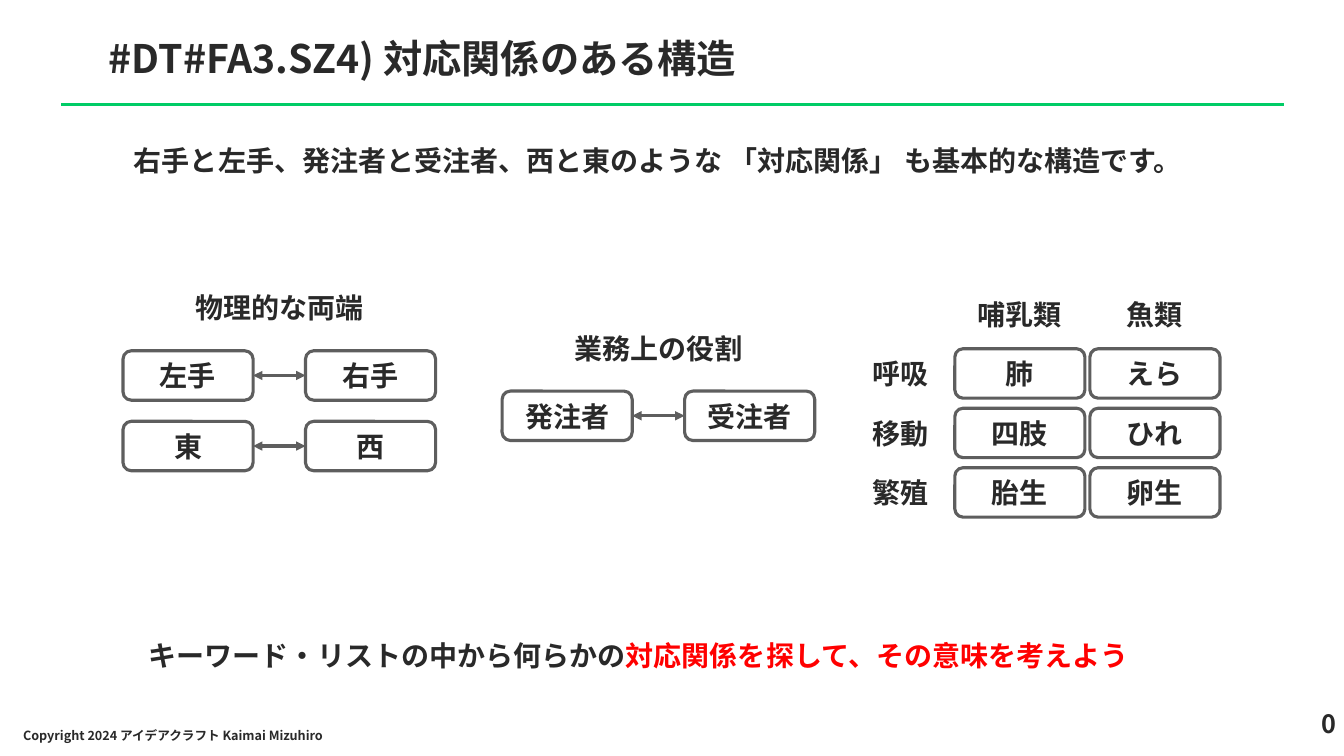
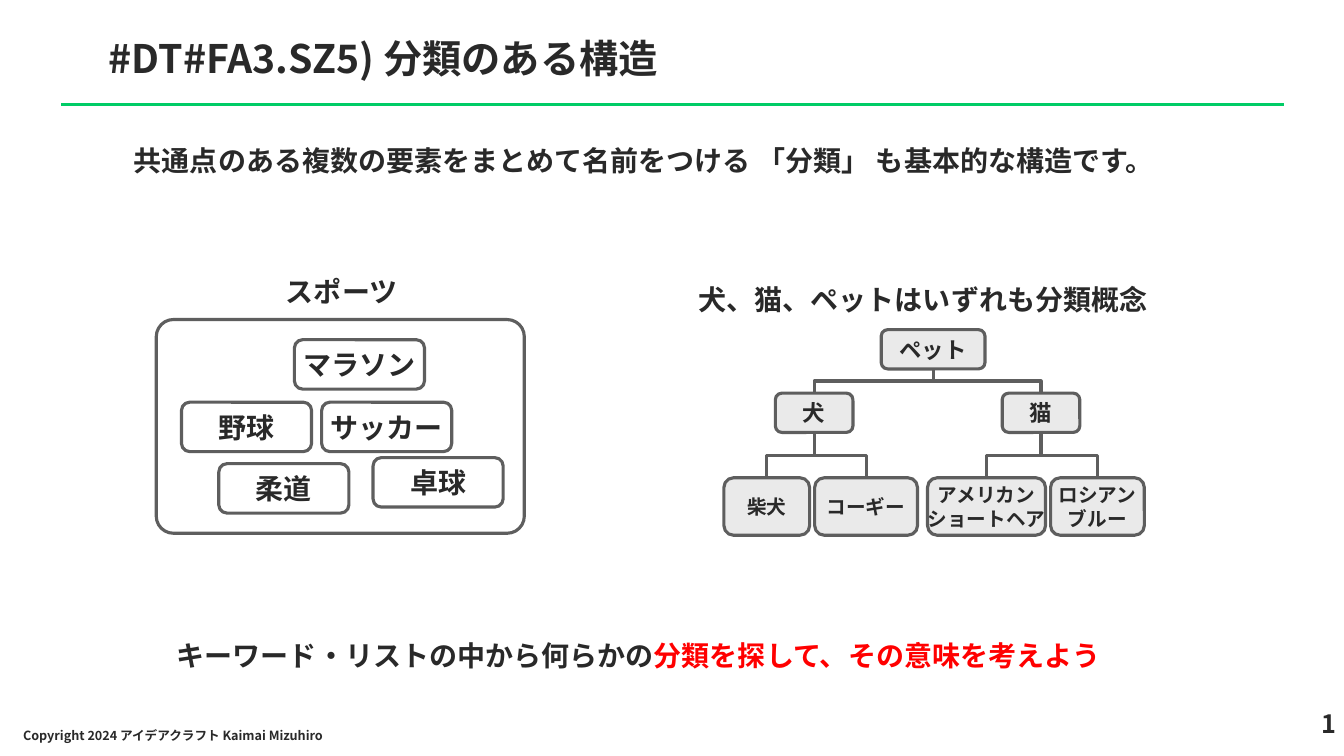
"""Build two slides on structures: correspondence and classification."""
from lxml.etree import SubElement
from pptx import Presentation
from pptx.dml.color import RGBColor
from pptx.enum.shapes import MSO_CONNECTOR, MSO_SHAPE
from pptx.enum.text import MSO_ANCHOR, PP_ALIGN
from pptx.oxml.ns import qn
from pptx.util import Pt

PX = 9144
FONT = "Noto Sans CJK JP"
INK = RGBColor(0x29, 0x29, 0x29)
GRAY = RGBColor(0x5E, 0x5E, 0x5E)
PALE = RGBColor(0xEA, 0xEA, 0xEA)
WHITE = RGBColor(0xFF, 0xFF, 0xFF)
GREEN = RGBColor(0x00, 0xCC, 0x66)
RED = RGBColor(0xFF, 0x00, 0x00)
LEFT, CENTER, RIGHT = PP_ALIGN.LEFT, PP_ALIGN.CENTER, PP_ALIGN.RIGHT


def write(slide, area, text, size=20, align=LEFT, shape=None):
    if shape is None:
        shape = slide.shapes.add_textbox(*[n * PX for n in area])
    frame = shape.text_frame
    frame.word_wrap = True
    frame.text = text
    for para in frame.paragraphs:
        para.alignment = align
        font = para.font
        font.name, font.size, font.bold = FONT, Pt(size), True
        font.color.rgb = INK
        props = para._p.get_or_add_pPr().get_or_add_defRPr()
        SubElement(props, qn("a:ea"), typeface=FONT)
    return frame


def box(slide, area, text="", size=20, fill=WHITE, edge=True):
    shape = slide.shapes.add_shape(MSO_SHAPE.ROUNDED_RECTANGLE, *[n * PX for n in area])
    shape.shadow.inherit = False
    shape.fill.solid()
    shape.fill.fore_color.rgb = fill
    if edge:
        shape.line.color.rgb = GRAY
        shape.line.width = Pt(2.25)
    else:
        shape.line.fill.background()
    if text:
        frame = write(slide, area, text, size, CENTER, shape)
        frame.word_wrap = False
        frame.vertical_anchor = MSO_ANCHOR.MIDDLE
    return shape


deck = Presentation()
deck.slide_width, deck.slide_height = 1333 * PX, 750 * PX
blank = deck.slide_layouts[6]
lines, slides = [], []

pages = [
    ("#DT#FA3.SZ4) 対応関係のある構造",
     "右手と左手、発注者と受注者、西と東のような 「対応関係」 も基本的な構造です。",
     "対応関係を探して、その意味を考えよう"),
    ("#DT#FA3.SZ5) 分類のある構造",
     "共通点のある複数の要素をまとめて名前をつける 「分類」 も基本的な構造です。",
     "分類を探して、その意味を考えよう"),
]
for page, (title, lead, goal) in enumerate(pages):
    slide = deck.slides.add_slide(blank)
    slides.append(slide)
    rule = slide.shapes.add_connector(
        MSO_CONNECTOR.STRAIGHT, 61 * PX, 104 * PX, 1273 * PX, 104 * PX)
    lines.append((rule, GREEN, False))
    write(slide, (98, 29, 1198, 71), title, 28)
    write(slide, (123, 137, 1047, 44), lead)
    write(slide, (13, 717, 552, 28), "Copyright 2024 アイデアクラフト Kaimai Mizuhiro", 9)
    write(slide, (1171, 698, 164, 50), str(page), 18, RIGHT)
    frame = write(slide, (136, 629, 995, 44), "キーワード・リストの中から何らかの", 20, CENTER)
    run = frame.paragraphs[0].add_run()
    run.text = goal
    run.font.color.rgb = RED

pairs, kinds = slides

for x, y, text in [(163, 280, "物理的な両端"), (539, 321, "業務上の役割")]:
    box(pairs, (x, y, 228, 49), text, edge=False)
for x, y, near, far in [(122, 348, "左手", "右手"), (122, 418, "東", "西"),
                        (498, 388, "発注者", "受注者")]:
    start = box(pairs, (x, y, 129, 49), near)
    end = box(pairs, (x + 181, y, 129, 49), far)
    arrow = pairs.shapes.add_connector(MSO_CONNECTOR.STRAIGHT, 0, 0, 0, 0)
    arrow.begin_connect(start, 3)
    arrow.end_connect(end, 1)
    lines.append((arrow, GRAY, True))

grid = [("", "哺乳類", "魚類"), ("呼吸", "肺", "えら"),
        ("移動", "四肢", "ひれ"), ("繁殖", "胎生", "卵生")]
for row, cells in enumerate(grid):
    y = 287 + 59 * row
    if cells[0]:
        box(pairs, (849, y, 88, 49), cells[0], edge=False)
    for col, text in enumerate(cells[1:]):
        box(pairs, (947 + 134 * col, y, 129, 49), text, edge=row > 0)

group = box(kinds, (155, 317, 365, 212))
group.adjustments[0] = 0.08
for x, y, text in [(180, 399, "野球"), (319, 399, "サッカー"), (217, 460, "柔道"),
                   (370, 454, "卓球"), (292, 337, "マラソン")]:
    box(kinds, (x, y, 129, 49), text)
write(kinds, (265, 267, 148, 44), "スポーツ", 20, CENTER)
write(kinds, (652, 275, 527, 44), "犬、猫、ペットはいずれも分類概念", 20, CENTER)

tree = [
    ("ペット", None, 874, 327, 103, 39, 16),
    ("犬", "ペット", 769, 390, 77, 39, 16),
    ("猫", "ペット", 994, 390, 77, 39, 16),
    ("柴犬", "犬", 718, 474, 85, 57, 14),
    ("コーギー", "犬", 808, 474, 102, 57, 14),
    ("アメリカン\nショートヘア", "猫", 920, 474, 117, 57, 14),
    ("ロシアン\nブルー", "猫", 1042, 474, 93, 57, 14),
]
nodes = {}
for name, owner, x, y, w, h, size in tree:
    node = nodes[name] = box(kinds, (x, y, w, h), name, size, PALE)
    if owner:
        top = nodes[owner]
        link = kinds.shapes.add_connector(MSO_CONNECTOR.ELBOW, 0, 0, 0, 0)
        link.begin_connect(top, 2)
        link.end_connect(node, 0)
        across, down = link.end_x - link.begin_x, link.end_y - link.begin_y
        midx, midy = link.begin_x + across // 2, link.begin_y + down // 2
        link.begin_x, link.end_x = midx - down // 2, midx + down // 2
        link.begin_y, link.end_y = midy + across // 2, midy - across // 2
        link.rotation = 90
        lines.append((link, GRAY, False))

for line, color, heads in lines:
    line.line.color.rgb = color
    line.line.width = Pt(2.25)
    props = line._element.spPr
    if heads:
        for tag in ("a:headEnd", "a:tailEnd"):
            SubElement(props.find(qn("a:ln")), qn(tag), type="triangle")
    SubElement(props, qn("a:effectLst"))

deck.save("out.pptx")
